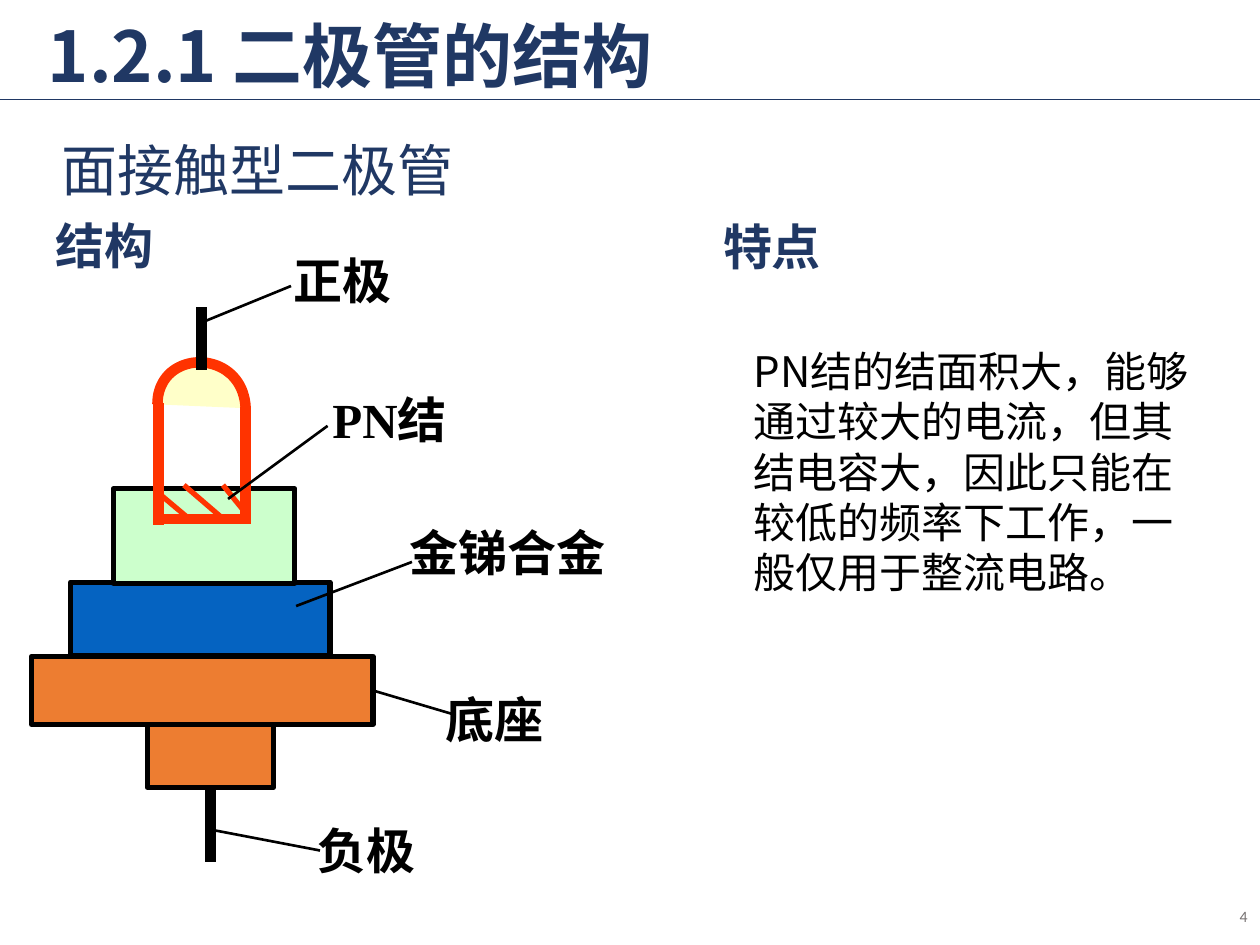
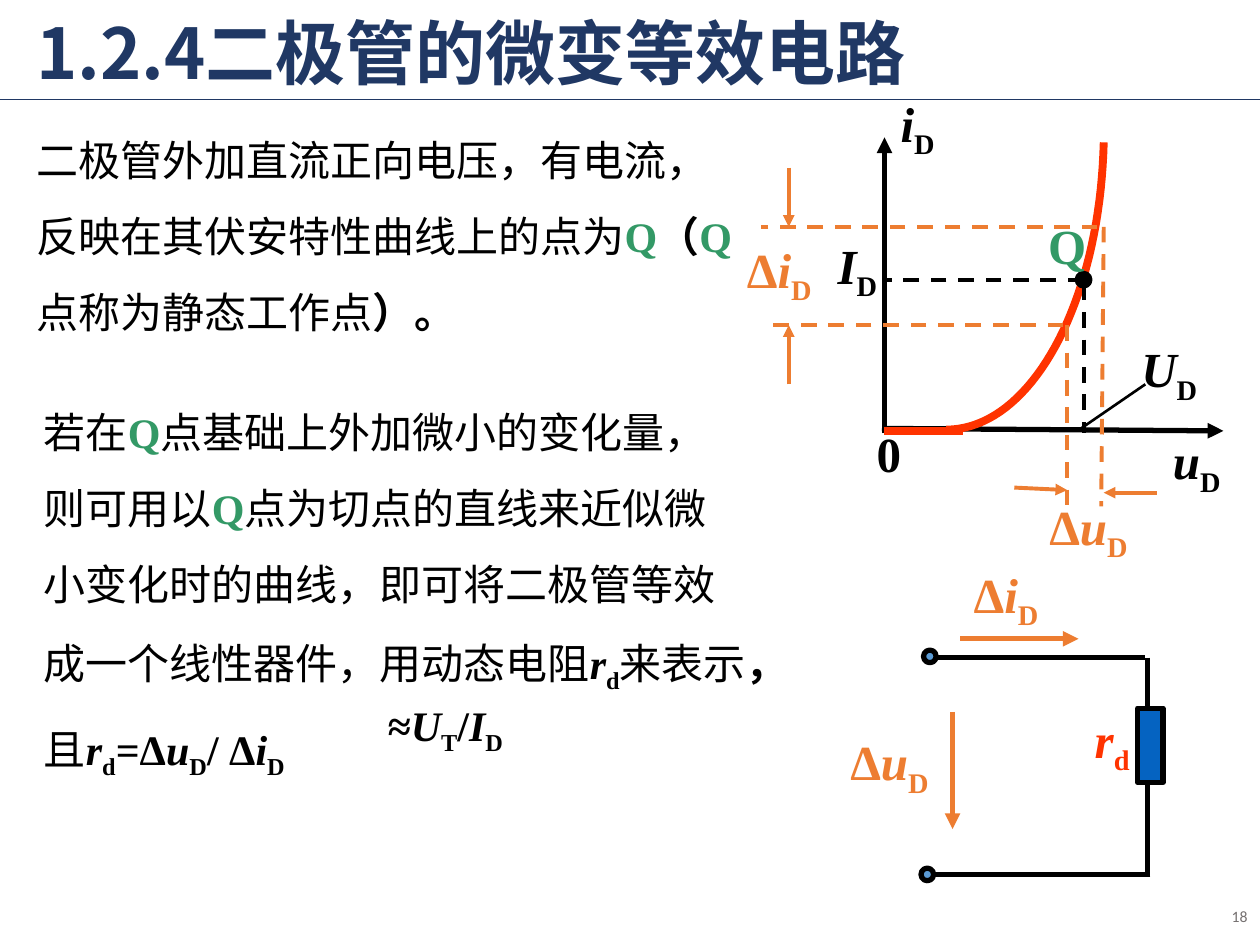
"""Build two lecture slides on diode structure and the small-signal diode model."""
from dataclasses import dataclass, replace

from lxml import etree
from pptx import Presentation
from pptx.dml.color import RGBColor
from pptx.enum import dml, shapes, text
from pptx.oxml import ns
from pptx.util import Inches, Pt


@dataclass(frozen=True)
class Theme:
    """Colours, fonts and type sizes of the deck."""
    navy: str = "203864"
    black: str = "000000"
    orange: str = "ED7D31"
    blue: str = "0563C1"
    sky: str = "5B9BD5"
    mint: str = "CCFFCC"
    cream: str = "FFFFC9"
    red: str = "FF3300"
    green: str = "339966"
    grey: str = "767171"
    sans: str = "Noto Sans CJK SC"
    serif: str = "Times New Roman"
    footer_font: str = "Calibri"
    title: int = 40
    subtitle: int = 32
    label: int = 28
    body: int = 24
    footer: int = 9


T = Theme()


@dataclass(frozen=True)
class Run:
    """A piece of text with one format."""
    text: str
    font: str = T.serif
    color: str = T.black
    bold: bool = True
    italic: bool = False
    sub: bool = False


@dataclass(frozen=True)
class Line:
    """A straight line with an optional dash and arrowhead."""
    x1: float
    y1: float
    x2: float
    y2: float
    color: str = T.black
    width: float = 3
    dash: bool = False
    arrow: bool = False


@dataclass(frozen=True)
class Block:
    """A filled and outlined preset shape."""
    x: float
    y: float
    w: float
    h: float
    fill: str
    kind: shapes.MSO_SHAPE = shapes.MSO_SHAPE.RECTANGLE


@dataclass(frozen=True)
class Label:
    """Text runs at a place on the slide."""
    x: float
    y: float
    runs: list
    w: float = 0.9
    h: float = 0.57
    size: int = T.label


def rgb(color: str) -> RGBColor:
    """Turn a hex string into a colour."""
    return RGBColor.from_string(color)


def plain(words: str) -> Run:
    """Make a regular sans run."""
    return Run(words, T.sans, bold=False)


def symbol(name: str, index: str, prefix: str = "", color: str = T.black) -> list:
    """Make runs for an italic quantity with a subscript."""
    lead = [Run(prefix, color=color)] if prefix else []
    return lead + [Run(name, color=color, italic=True), Run(index, color=color, sub=True)]


def write(shape, runs: list, size: int, spacing: float = 1.0) -> None:
    """Fill a shape with one paragraph of formatted runs."""
    tf = shape.text_frame
    tf.word_wrap = True
    p = tf.paragraphs[0]
    p.line_spacing = spacing
    p.space_before = Pt(0)
    for run in runs:
        r = p.add_run()
        r.text = run.text
        r.font.size = Pt(size)
        r.font.bold, r.font.italic = run.bold, run.italic
        r.font.color.rgb = rgb(run.color)
        r.font.name = run.font
        rPr = r.font._element
        etree.SubElement(rPr, ns.qn("a:ea"), typeface=T.sans)
        if run.sub:
            rPr.set("baseline", "-25000")


def place(shape, x: float, y: float, w: float, h: float) -> None:
    """Move and size a shape."""
    shape.left, shape.top, shape.width, shape.height = map(Inches, (x, y, w, h))


def add_label(s, label: Label, spacing: float = 1.0):
    """Add a text box."""
    tb = s.shapes.add_textbox(*map(Inches, (label.x, label.y, label.w, label.h)))
    write(tb, label.runs, label.size, spacing)
    return tb


def add_line(s, line: Line):
    """Add a straight connector."""
    ends = map(Inches, (line.x1, line.y1, line.x2, line.y2))
    c = s.shapes.add_connector(shapes.MSO_CONNECTOR.STRAIGHT, *ends)
    c.line.color.rgb = rgb(line.color)
    c.line.width = Pt(line.width)
    if line.dash:
        c.line.dash_style = dml.MSO_LINE.DASH
    if line.arrow:
        etree.SubElement(c.line._get_or_add_ln(), ns.qn("a:tailEnd"), type="triangle")
    etree.SubElement(c._element.spPr, ns.qn("a:effectLst"))
    return c


def add_block(s, block: Block):
    """Add a preset shape with a black outline."""
    box = map(Inches, (block.x, block.y, block.w, block.h))
    sp = s.shapes.add_shape(block.kind, *box)
    sp.shadow.inherit = False
    sp.fill.solid()
    sp.fill.fore_color.rgb = rgb(block.fill)
    sp.line.color.rgb = rgb(T.black)
    sp.line.width = Pt(3)
    return sp


def bezier(controls: list, steps: int = 40) -> list:
    """Sample a cubic curve in EMU."""
    points = []
    for n in range(steps + 1):
        t = n / steps
        weights = ((1 - t) ** 3, 3 * t * (1 - t) ** 2, 3 * t * t * (1 - t), t ** 3)
        points.append(tuple(int(Inches(sum(w * c[axis] for w, c in zip(weights, controls))))
                            for axis in (0, 1)))
    return points


def add_curve(s, controls: list, width: float = 0, fill: str = "") -> None:
    """Add a curve, either stroked in red or filled."""
    points = bezier(controls)
    fb = s.shapes.build_freeform(*points[0])
    fb.add_line_segments(points[1:], close=bool(fill))
    sp = fb.convert_to_shape()
    sp.shadow.inherit = False
    if fill:
        sp.fill.solid()
        sp.fill.fore_color.rgb = rgb(fill)
        sp.line.fill.background()
    else:
        sp.fill.background()
        sp.line.color.rgb = rgb(T.red)
        sp.line.width = Pt(width)


def add_slide(prs, title: str, at: tuple, anchor, number: int, body: Label, spacing: float):
    """Add a slide with title, rule, main paragraph and page number."""
    s = prs.slides.add_slide(prs.slide_layouts[1])
    add_line(s, Line(0, 0.79, 10, 0.79, T.navy, 1))
    place(s.shapes.title, *at, 9.4, 0.71)
    write(s.shapes.title, [Run(title, T.sans, T.navy)], T.title, 0.9)
    tf = s.shapes.title.text_frame
    tf.auto_size = text.MSO_AUTO_SIZE.SHAPE_TO_FIT_TEXT
    tf.vertical_anchor = anchor
    tf.paragraphs[0].alignment = text.PP_ALIGN.LEFT

    ph = s.placeholders[1]
    place(ph, body.x, body.y, body.w, body.h)
    ph.text_frame.auto_size = text.MSO_AUTO_SIZE.NONE
    write(ph, body.runs, body.size, spacing)
    pPr = ph.text_frame.paragraphs[0]._p.get_or_add_pPr()
    pPr.set("marL", "0")
    pPr.set("indent", "0")
    etree.SubElement(pPr, ns.qn("a:buNone"))

    page = Run(str(number), T.footer_font, T.grey, False)
    tf = add_label(s, Label(7.75, 7.07, [page], 2.25, 0.4, T.footer)).text_frame
    tf.vertical_anchor = text.MSO_ANCHOR.MIDDLE
    tf.paragraphs[0].alignment = text.PP_ALIGN.RIGHT
    return s


def build_structure(prs) -> None:
    """Build the slide on the structure of the junction diode."""
    feature = "PN结的结面积大，能够通过较大的电流，但其结电容大，因此只能在较低的频率下工作，一般仅用于整流电路。"
    s = add_slide(prs, "1.2.1 二极管的结构", (0.28, 0.12), text.MSO_ANCHOR.MIDDLE, 4,
                  Label(5.88, 2.69, [plain(feature)], 3.77, 2.14, T.body), 1.0)
    subtitle = replace(plain("面接触型二极管"), color=T.navy)
    add_label(s, Label(0.39, 0.89, [subtitle], 3.9, 0.77, T.subtitle), 1.25)
    for x, y, heading in ((0.34, 1.66, "结构"), (5.64, 1.67, "特点")):
        add_label(s, Label(x, y, [Run(heading, color=T.navy)], 1.1))

    stem, base, *_ = [add_block(s, block) for block in (
        Block(1.17, 5.75, 1, 0.5, T.orange),
        Block(0.25, 5.21, 2.71, 0.54, T.orange),
        Block(0.56, 4.62, 2.06, 0.58, T.blue),
        Block(0.9, 3.88, 1.44, 0.75, T.mint))]

    dome = [(1.95, 3.24), (1.93, 2.76), (1.25, 2.76), (1.25, 3.21)]
    add_curve(s, dome, fill=T.cream)
    add_curve(s, dome, width=6)
    for x1, y1, x2, y2 in ((1.27, 4.12, 1.96, 4.12), (1.95, 3.23, 1.95, 4.16),
                           (1.26, 3.2, 1.26, 4.17)):
        add_line(s, Line(x1, y1, x2, y2, T.red, 6))
    for x1, y1, x2, y2 in ((1.29, 3.94, 1.48, 4.1), (1.46, 3.85, 1.75, 4.1),
                           (1.77, 3.85, 1.94, 4.06)):
        add_line(s, Line(x1, y1, x2, y2, T.red))
    add_line(s, Line(1.6, 2.44, 1.6, 2.94, width=6))
    add_line(s, Line(1.67, 6.25, 1.67, 6.84, width=6)).begin_connect(stem, 2)

    callouts = (
        ("正极", (1.6, 2.56, 2.31, 2.27), (2.23, 1.94), None),
        ("PN结", (1.81, 3.96, 2.6, 3.38), (2.54, 3.04), None),
        ("金锑合金", (2.35, 4.81, 3.27, 4.46), (3.15, 4.1), None),
        ("底座", (2.96, 5.48, 3.6, 5.67), (3.44, 5.42), base),
        ("负极", (1.65, 6.58, 2.54, 6.75), (2.42, 6.46), None))
    for name, ends, at, joined in callouts:
        leader = add_line(s, Line(*ends, width=1.5))
        if joined is not None:
            leader.begin_connect(joined, 3)
        add_label(s, Label(*at, [Run(name)], 1.98))


def build_equivalent(prs) -> None:
    """Build the slide on the small-signal equivalent circuit."""
    q = Run("Q", color=T.green)
    intro = [plain("二极管外加直流正向电压，有电流，反映在其伏安特性曲线上的点为"), q,
             Run("（"), q, plain("点称为静态工作点"), Run("）。")]
    s = add_slide(prs, "1.2.4二极管的微变等效电路", (0.19, 0.1), text.MSO_ANCHOR.TOP, 18,
                  Label(0.19, 0.82, intro, 5.86, 1.92, T.body), 1.5)
    model = [plain("若在"), q, plain("点基础上外加微小的变化量，则可用以"), q,
             plain("点为切点的直线来近似微小变化时的曲线，即可将二极管等效成一个线性器件，用动态电阻"),
             *symbol("r", "d"), plain("来表示"), Run("，"), plain("且"), *symbol("r", "d"),
             *symbol("u", "D", "=Δ"), *symbol("i", "D", "/ Δ")]
    add_label(s, Label(0.25, 2.98, model, 5.78, 3.13, T.body), 1.5)
    estimate = symbol("U", "T", "≈") + symbol("I", "D", "/")
    add_label(s, Label(2.98, 5.5, estimate, 1.3, 0.5, T.body))

    add_line(s, Line(7.02, 3.44, 7.02, 1.09, arrow=True))
    add_line(s, Line(7, 3.4, 9.71, 3.42, arrow=True))
    add_curve(s, [(7.51, 3.41), (8.18, 3.41), (8.73, 2.41), (8.76, 1.13)], width=4.5)
    add_line(s, Line(7.02, 3.42, 7.64, 3.42, T.red, 4.5))
    add_line(s, Line(9.09, 3.05, 8.58, 3.4, width=1.5))

    guides = ((T.black, 8.6, 2.22, 7, 2.22), (T.black, 8.6, 2.26, 8.6, 3.44),
              (T.orange, 8.71, 1.8, 6.04, 1.8), (T.orange, 8.44, 2.58, 6.07, 2.58),
              (T.orange, 8.47, 2.58, 8.47, 4.11), (T.orange, 8.76, 1.8, 8.74, 4.02))
    for color, *ends in guides:
        add_line(s, Line(*ends, color, 2.25, dash=True))
    for ends in ((6.26, 1.33, 6.26, 1.8), (6.26, 3.05, 6.26, 2.58),
                 (8.05, 3.87, 8.47, 3.89), (9.18, 3.91, 8.76, 3.91)):
        add_line(s, Line(*ends, T.orange, 2.25, arrow=True))

    for wire in ((7.35, 5.22, 9.09, 5.22), (9.11, 5.22, 9.11, 6.94), (9.13, 6.94, 7.38, 6.94)):
        add_line(s, Line(*wire))
    for flow in ((7.62, 5.07, 8.56, 5.07), (7.56, 5.65, 7.56, 6.58)):
        add_line(s, Line(*flow, T.orange, arrow=True))
    add_block(s, Block(9.03, 5.62, 0.2, 0.59, T.blue))
    for x, y, fill in ((7.33, 5.16, T.sky), (7.31, 6.89, T.sky), (8.55, 2.17, T.black)):
        add_block(s, Block(x, y, 0.1, 0.1, fill, shapes.MSO_SHAPE.OVAL))

    for label in (
            Label(7.05, 0.69, symbol("i", "D")),
            Label(9.21, 3.37, symbol("u", "D"), 0.75),
            Label(6.86, 3.31, [Run("0")]),
            Label(6.55, 1.82, symbol("I", "D")),
            Label(8.96, 2.64, symbol("U", "D")),
            Label(8.22, 1.66, [q]),
            Label(5.83, 1.85, symbol("i", "D", "Δ", T.orange)),
            Label(8.23, 3.89, symbol("u", "D", "Δ", T.orange)),
            Label(7.63, 4.43, symbol("i", "D", "Δ", T.orange)),
            Label(6.65, 5.76, symbol("u", "D", "Δ", T.orange)),
            Label(8.59, 5.58, symbol("r", "d", color=T.red))):
        add_label(s, label)


def main() -> None:
    """Build and save the deck."""
    prs = Presentation()
    prs.slide_width, prs.slide_height = Inches(10), Inches(7.5)
    build_structure(prs)
    build_equivalent(prs)
    prs.save("out.pptx")


if __name__ == "__main__":
    main()
